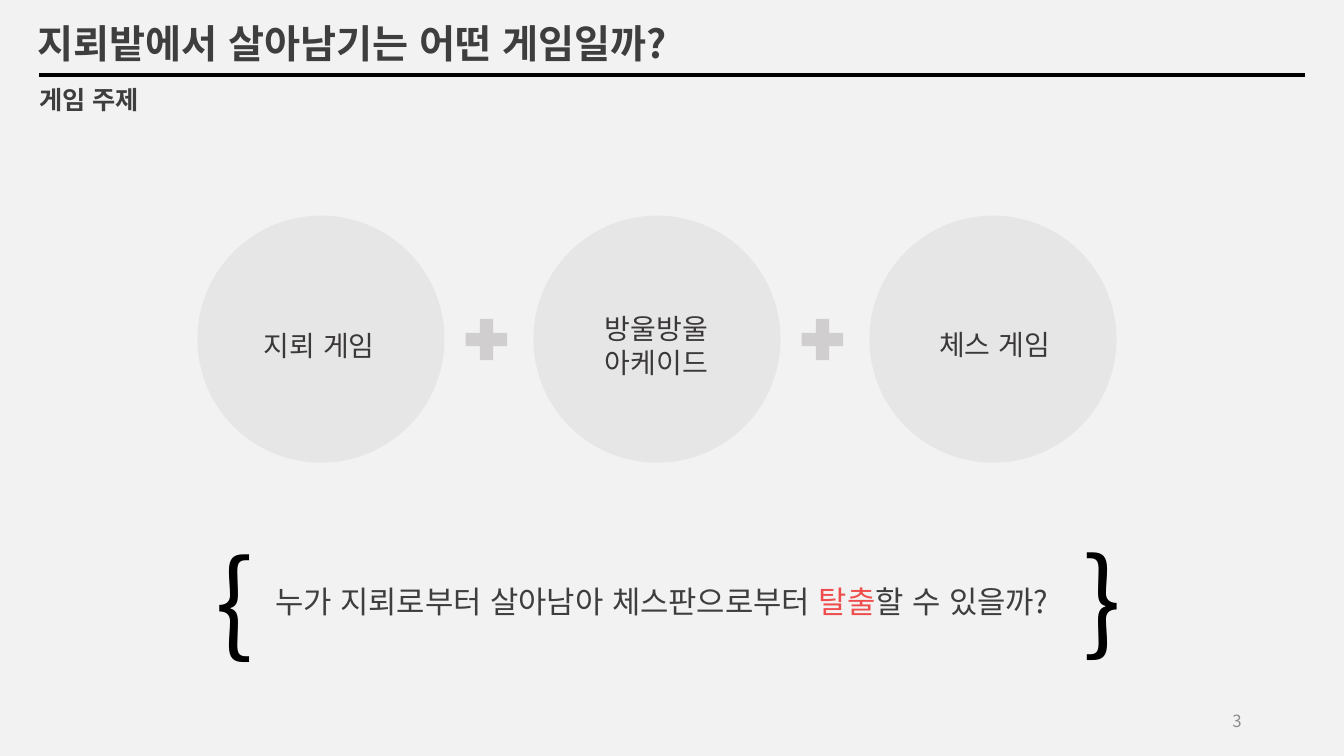
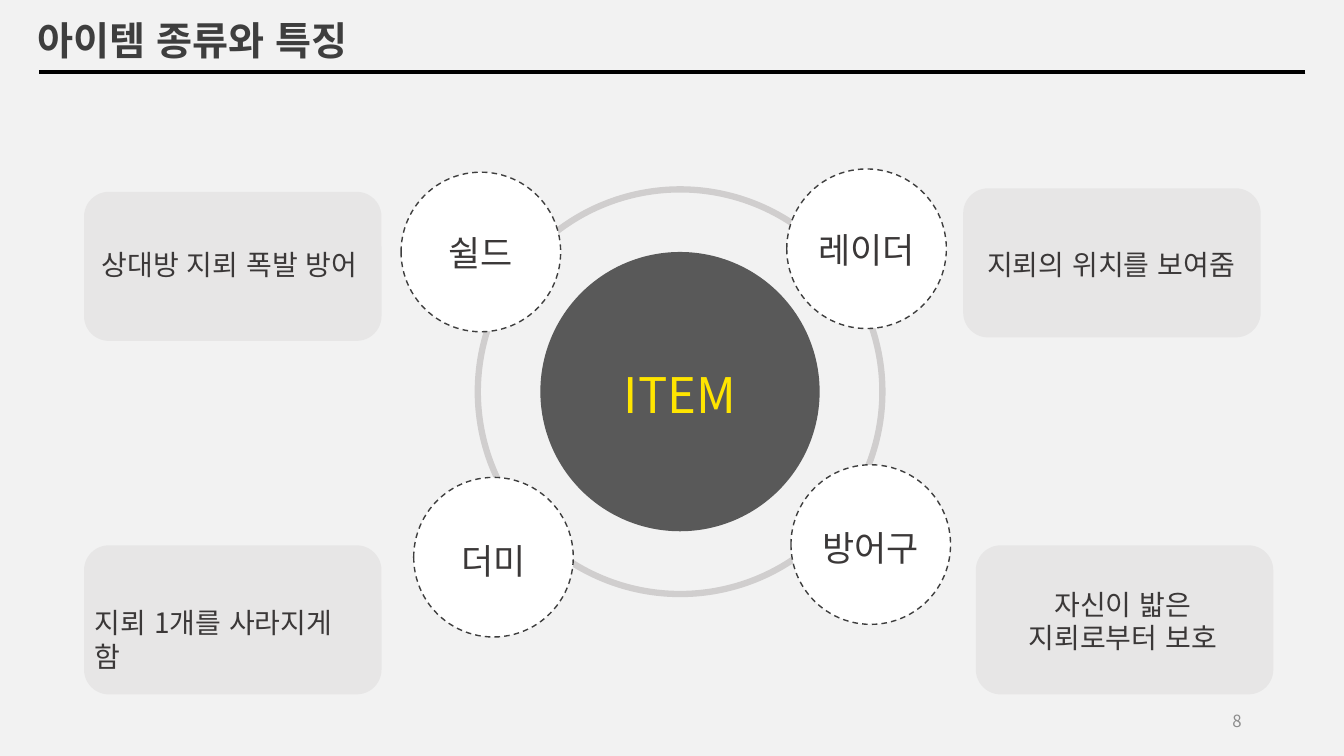
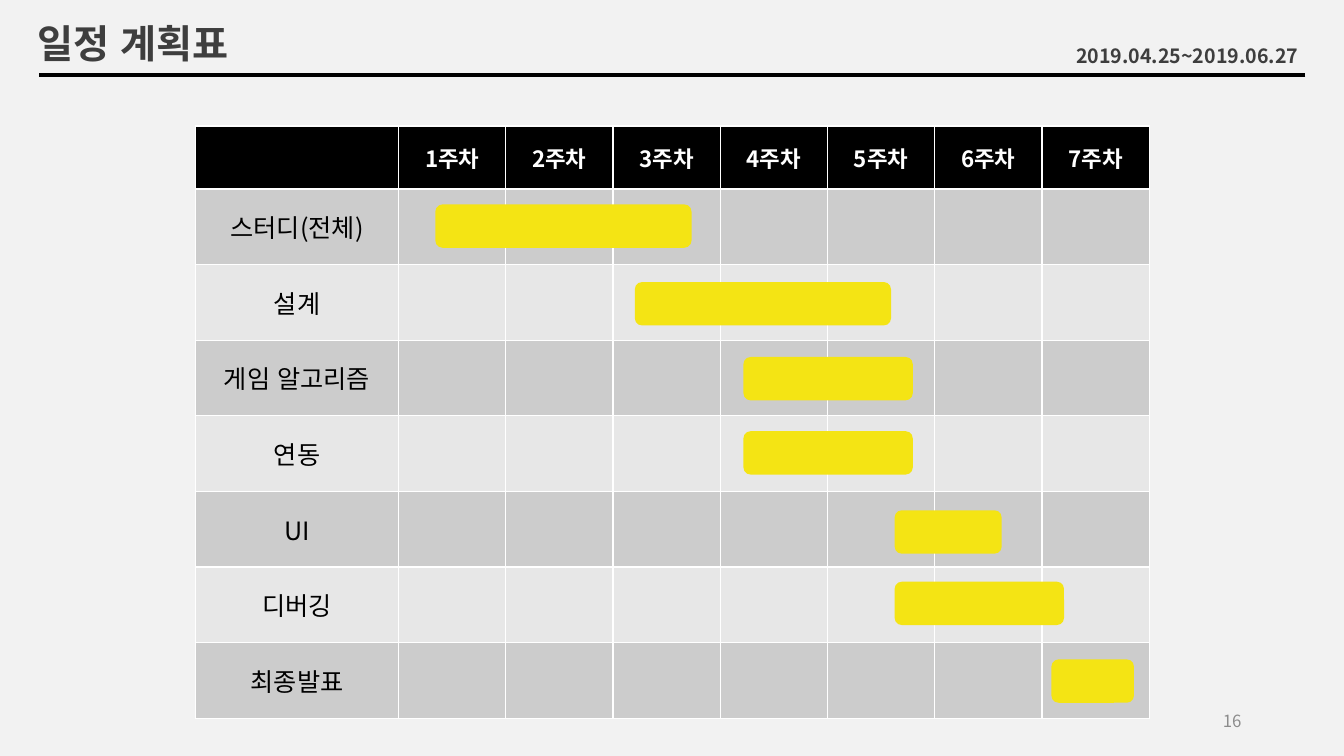
"""Build three slides about a minefield survival game."""
from pptx import Presentation
from pptx.dml.color import RGBColor as Rgb
from pptx.enum.dml import MSO_LINE as Dash
from pptx.enum.lang import MSO_LANGUAGE_ID as Lang
from pptx.enum.shapes import MSO_CONNECTOR as Wire, MSO_SHAPE as Form
from pptx.enum.text import MSO_ANCHOR as Anchor, MSO_AUTO_SIZE as Auto, PP_ALIGN as Align
from pptx.oxml.ns import qn
from pptx.util import Pt

FONT = "Noto Sans CJK KR"
HUES = {
    "back": "F2F2F2", "black": "000000", "white": "FFFFFF", "title": "3E3E3E",
    "text": "3B3838", "page": "8C8C8C", "red": "EF4D4D", "pale": "E7E6E6",
    "grey": "D0CECE", "core": "595959", "gold": "FFE500", "bar": "F4E414",
    "odd": "CCCCCC", "even": "E7E7E7",
}
HUES = {name: Rgb.from_string(code) for name, code in HUES.items()}


def put(home, text, at=None, size=20, hue="text", bold=False, align=Align.LEFT,
        anchor=Anchor.TOP, marks=None):
    """Write text into a new box on a slide, or into a given shape or cell."""
    if at:
        home = home.shapes.add_textbox(*map(Pt, at))
    frame = home.text_frame
    frame.word_wrap = True
    if at:
        frame.auto_size = Auto.NONE
    if hasattr(home, "is_merge_origin"):
        home.vertical_anchor = anchor
    else:
        frame.vertical_anchor = anchor
    for row, line in enumerate(text.split("\n")):
        para = frame.add_paragraph() if row else frame.paragraphs[0]
        para.alignment = align
        for part in line.split("|"):
            run = para.add_run()
            run.text = part
            font = run.font
            font.size, font.bold, font.name = Pt(size), bold, FONT
            font.language_id = Lang.KOREAN
            font.color.rgb = HUES[(marks or {}).get(part, hue)]
            east = font._element.makeelement(qn("a:ea"), {"typeface": FONT})
            font._element.find(qn("a:latin")).addnext(east)


def draw(slide, form, at, fill=None, line=None, width=1, dash=None):
    """Add a flat preset shape."""
    shape = slide.shapes.add_shape(form, *map(Pt, at))
    shape.shadow.inherit = False
    if fill:
        shape.fill.solid()
        shape.fill.fore_color.rgb = HUES[fill]
    else:
        shape.fill.background()
    if line:
        shape.line.color.rgb = HUES[line]
        shape.line.width = Pt(width)
        shape.line.dash_style = dash
    else:
        shape.line.fill.background()


deck = Presentation()
deck.slide_width, deck.slide_height = Pt(960), Pt(540)
back = deck.slide_master.background.fill
back.solid()
back.fore_color.rgb = HUES["back"]

slides = []
for name, page, top in [
    ("지뢰밭에서 살아남기는 어떤 게임일까?", "3", 10),
    ("아이템 종류와 특징", "8", 8),
    ("일정 계획표", "16", 10),
]:
    slide = deck.slides.add_slide(deck.slide_layouts[5])
    title = slide.shapes.title
    title.left, title.top, title.width, title.height = map(Pt, (19.5, top, 700, 41))
    title.text_frame.auto_size = Auto.NONE
    put(title, name, size=28, hue="title", bold=True)
    rule = slide.shapes.add_connector(
        Wire.STRAIGHT, Pt(932.4), Pt(top + 43.4), Pt(27.6), Pt(top + 43.4))
    rule.line.color.rgb = HUES["black"]
    rule.line.width = Pt(2.75)
    props = rule._element.spPr
    props.append(props.makeelement(qn("a:effectLst"), {}))
    put(slide, page, (678, 500.5, 216, 28.5), size=12, hue="page",
        align=Align.RIGHT, anchor=Anchor.MIDDLE)
    slides.append(slide)
theme, items, plan = slides

put(theme, "게임 주제", (21, 57, 120, 29), size=18, hue="title", bold=True)
for mark, left, top in [("{", 147, 376), ("}", 767, 375)]:
    put(theme, mark, (left, top, 39, 103), size=80, hue="black")
put(theme, "누가 지뢰로부터 살아남아 체스판으로부터 |탈출|할 수 있을까?",
    (189.5, 412.5, 580, 33), size=22, hue="title", marks={"탈출": "red"})
for col, (name, mid, top) in enumerate([
    ("지뢰 게임", 228, 231), ("방울방울\n아케이드", 469, 219), ("체스 게임", 710.5, 230.5),
]):
    left = 141 + 240 * col
    draw(theme, Form.OVAL, (left, 154, 176.5, 176.5), "pale")
    put(theme, name, (mid - 60, top, 120, 30), align=Align.CENTER)
    if col < 2:
        draw(theme, Form.RECTANGLE, (left + 201.8, 227.7, 9.4, 29.6), "grey")
        draw(theme, Form.RECTANGLE, (left + 191.7, 237.8, 29.6, 9.4), "grey")

draw(items, Form.OVAL, (386, 180, 199.5, 199.5), "core")
draw(items, Form.OVAL, (341.3, 135.3, 289, 289), line="grey", width=4.5)
put(items, "ITEM", (425.8, 256.5, 120, 49), size=35, hue="gold", align=Align.CENTER)
for name, left, top, gap in [
    ("쉴드", 286.5, 123, 38.5), ("레이더", 562, 120.7, 39),
    ("방어구", 565, 332, 40.5), ("더미", 295.5, 341, 40.5),
]:
    draw(items, Form.OVAL, (left, top, 114, 114), "white", "title", 1, Dash.DASH)
    put(items, name, (left + 7, top + gap, 100, 37.5), size=25, align=Align.CENTER)
for note, left, top, spot, align in [
    ("상대방 지뢰 폭발 방어", 60, 137, (65.5, 173.5, 204, 31), Align.LEFT),
    ("지뢰의 위치를 보여줌", 688, 134.5, (698, 173.5, 204, 31), Align.LEFT),
    ("지뢰 1개를 사라지게 함", 60, 389.5, (60.5, 429, 204, 55), Align.LEFT),
    ("자신이 밟은\n지뢰로부터 보호", 697, 389.5, (705.5, 416, 193, 55.5), Align.CENTER),
]:
    draw(items, Form.ROUNDED_RECTANGLE, (left, top, 212.5, 106.5), "pale")
    put(items, note, spot, align=align)

put(plan, "2019.04.25~2019.06.27", (761.5, 28, 190, 25), size=14, hue="title", bold=True)
tasks = [
    ("스터디(전체)", 311, 146, 183), ("설계", 453.5, 201.5, 183),
    ("게임 알고리즘", 531, 255, 121), ("연동", 531, 308, 121),
    ("UI", 639, 364.5, 76.5), ("디버깅", 639, 415.5, 121), ("최종발표", 751, 471, 59),
]
grid = plan.shapes.add_table(8, 8, Pt(139.7), Pt(90), Pt(681.2), Pt(423)).table
grid.horz_banding = False
for num in range(8):
    grid.columns[num].width = Pt(76.6 if num else 145)
    grid.rows[num].height = Pt(54 if num else 45)
    for col in range(8):
        cell = grid.cell(num, col)
        cell.fill.solid()
        cell.fill.fore_color.rgb = HUES[("odd" if num % 2 else "even") if num else "black"]
        if num == 0 and col:
            put(cell, f"{col}주차", size=16, hue="white", bold=True,
                align=Align.CENTER, anchor=Anchor.MIDDLE)
        elif num and col == 0:
            put(cell, tasks[num - 1][0], size=18, hue="black",
                align=Align.CENTER, anchor=Anchor.MIDDLE)
for name, left, top, width in tasks:
    draw(plan, Form.ROUNDED_RECTANGLE, (left, top, width, 31), "bar")

deck.save("out.pptx")
